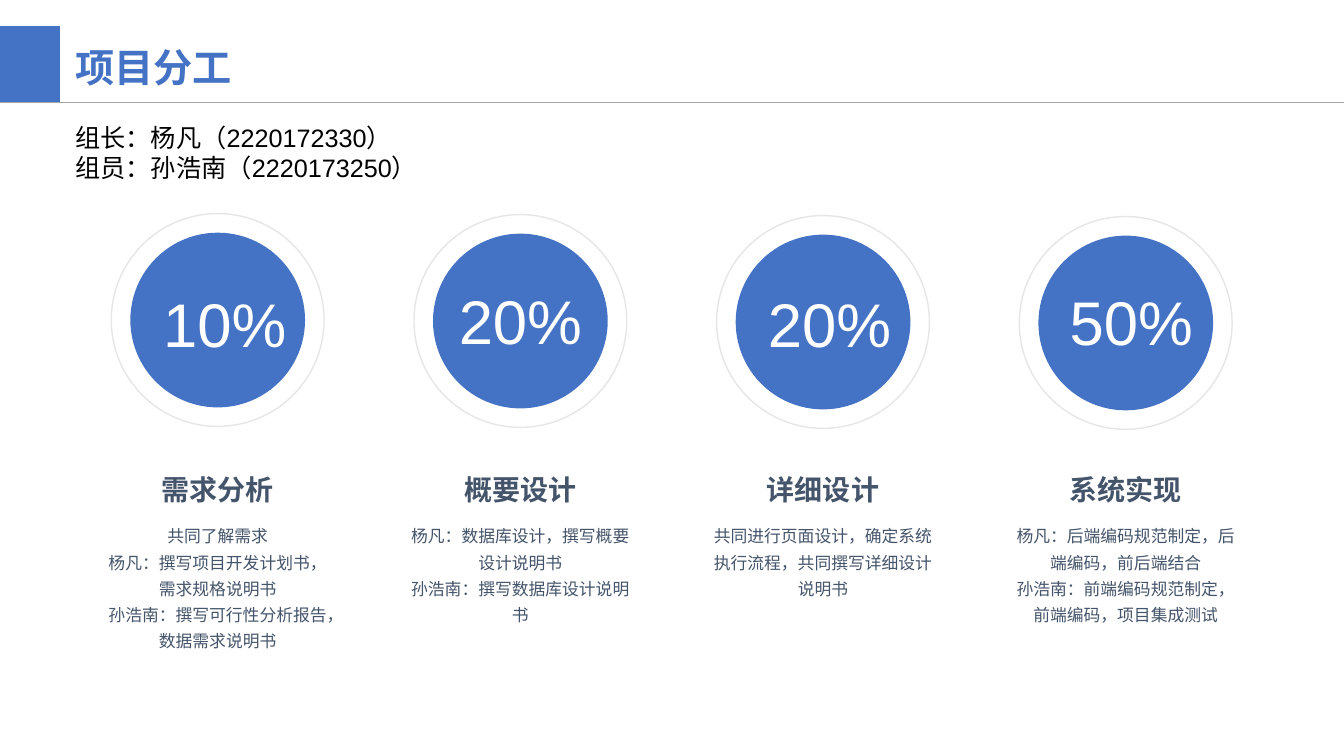
from lxml import etree
from pptx import Presentation
from pptx.dml.color import RGBColor
from pptx.enum import shapes, text
from pptx.oxml import ns
from pptx.util import Pt

COLORS = {"blue": "4472C4", "slate": "44546A", "ring": "E7E6E6",
          "rule": "A5A5A5", "white": "FFFFFF", "black": "000000"}
LEFT, CENTER = text.PP_ALIGN.LEFT, text.PP_ALIGN.CENTER


def color(name):
    return RGBColor.from_string(COLORS[name])


def add_text(parent, frame, lines, size, ink, bold=False, align=LEFT, spacing=None, wrap=True):
    """Add a text box with one paragraph per line; frame is left, top, width, height."""
    box = parent.add_textbox(*map(Pt, frame))
    box.text_frame.word_wrap = wrap
    for index, line in enumerate(lines):
        para = box.text_frame.paragraphs[0] if index == 0 else box.text_frame.add_paragraph()
        para.alignment = align
        para.line_spacing = spacing
        span = para.add_run()
        span.text = line
        span.font.name = "Arial"
        span.font.size = Pt(size)
        span.font.bold = bold
        span.font.color.rgb = color(ink)


deck = Presentation()
deck.slide_width, deck.slide_height = Pt(960), Pt(540)
page = deck.slides.add_slide(deck.slide_layouts[6])

# Header
rule = page.shapes.add_connector(shapes.MSO_CONNECTOR.STRAIGHT, 0, Pt(73), Pt(960), Pt(73))
rule.line.color.rgb = color("rule")
rule.line.width = Pt(0.5)
etree.SubElement(rule.element.spPr, ns.qn("a:effectLst"))
tab = page.shapes.add_shape(shapes.MSO_SHAPE.RECTANGLE, 0, Pt(18.7), Pt(42.8), Pt(54))
tab.shadow.inherit = False
tab.fill.solid()
tab.fill.fore_color.rgb = color("blue")
tab.line.fill.background()
add_text(page.shapes, (46.8, 27.4, 376, 41), ["项目分工"], 28, "blue", bold=True)

# Four tasks: heading, share, left and top of the share, duties
tasks = [
    ("需求分析", "10%", 109.4, 200.9,
     ["共同了解需求", "杨凡：撰写项目开发计划书，需求规格说明书",
      "孙浩南：撰写可行性分析报告，数据需求说明书"]),
    ("概要设计", "20%", 320.6, 198.7,
     ["杨凡：数据库设计，撰写概要设计说明书", "孙浩南：撰写数据库设计说明书"]),
    ("详细设计", "20%", 541.4, 200.9,
     ["共同进行页面设计，确定系统执行流程，共同撰写详细设计说明书"]),
    ("系统实现", "50%", 756.9, 199.6,
     ["杨凡：后端编码规范制定，后端编码，前后端结合",
      "孙浩南：前端编码规范制定，前端编码，项目集成测试"]),
]
PITCH, DROP = 216.2, 0.7
DISC, RING = 124.8, 152

for index, (heading, share, share_left, share_top, duties) in enumerate(tasks):
    center_x = 155.5 + PITCH * index
    center_y = 228.6 + DROP * index
    for diameter in (DISC, RING):
        circle = page.shapes.add_shape(
            shapes.MSO_SHAPE.OVAL, Pt(center_x - diameter / 2), Pt(center_y - diameter / 2),
            Pt(diameter), Pt(diameter))
        circle.shadow.inherit = False
        if diameter == DISC:
            circle.fill.solid()
            circle.fill.fore_color.rgb = color("blue")
            circle.line.fill.background()
        else:
            circle.fill.background()
            circle.line.color.rgb = color("ring")
            circle.line.width = Pt(1)

    caption = page.shapes.add_group_shape().shapes
    add_text(caption, (center_x - 88.5, 368, 177, 100), duties, 12, "slate",
             align=CENTER, spacing=1.3)
    add_text(caption, (center_x - 47.2, 333.6, 94.4, 31.5), [heading], 20, "slate",
             bold=True, align=CENTER, wrap=False)
    add_text(page.shapes, (share_left, share_top, 123, 60.5), [share], 44, "white")

add_text(page.shapes, (46.8, 83.5, 264.2, 51),
         ["组长：杨凡（2220172330）", "组员：孙浩南（2220173250）"], 18, "black")

deck.save("out.pptx")
